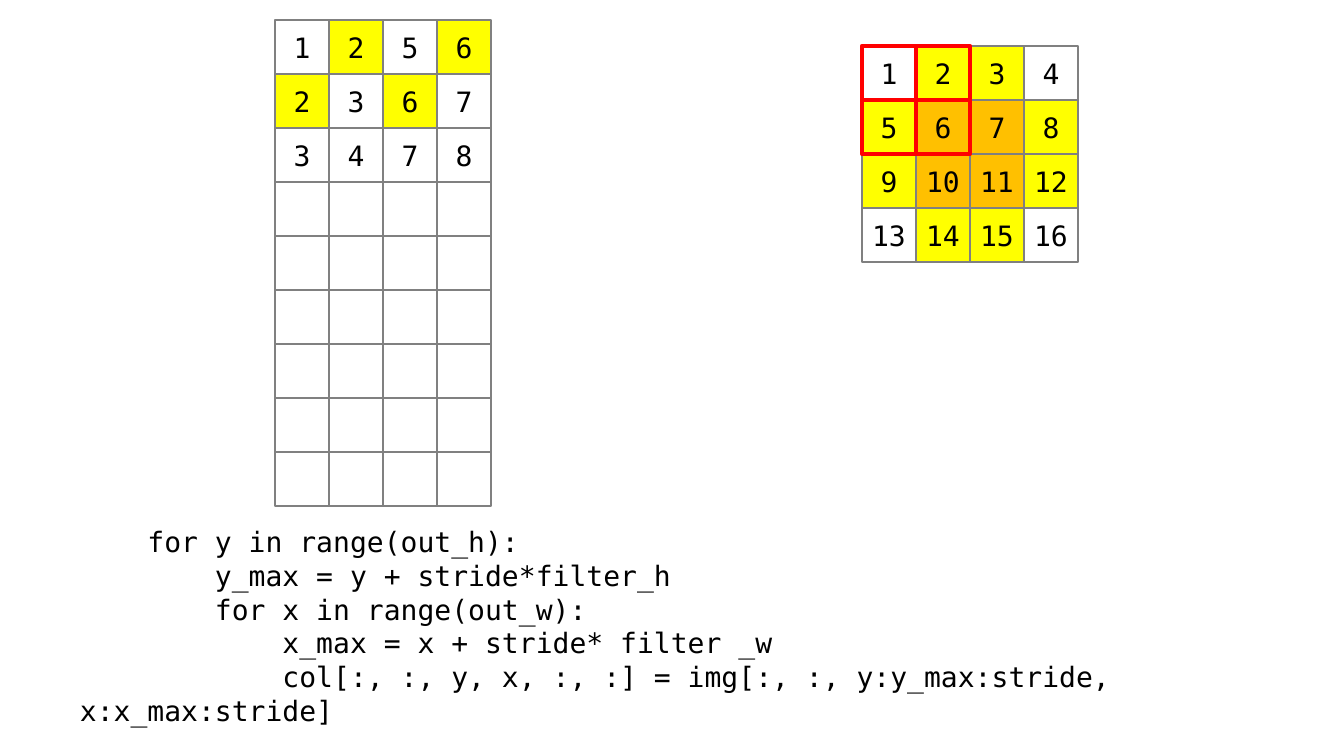
"""Build a slide showing how im2col copies image cells into column rows."""
from pptx import Presentation
from pptx.dml.color import RGBColor
from pptx.enum.shapes import MSO_SHAPE
from pptx.enum.text import MSO_ANCHOR, MSO_AUTO_SIZE, PP_ALIGN
from pptx.util import Emu, Pt

RECTANGLE = MSO_SHAPE.RECTANGLE
MIDDLE = MSO_ANCHOR.MIDDLE
CENTER = PP_ALIGN.CENTER
GROW = MSO_AUTO_SIZE.SHAPE_TO_FIT_TEXT

THEME = {
    "font": {"name": "DejaVu Sans Mono", "size": Pt(20)},
    "text": RGBColor.from_string("000000"),
    "grid": RGBColor.from_string("808080"),
    "window": RGBColor.from_string("FF0000"),
    "grid_width": Pt(1.5),
    "window_width": Pt(3),
    "fills": {
        "W": RGBColor.from_string("FFFFFF"),
        "Y": RGBColor.from_string("FFFF00"),
        "O": RGBColor.from_string("FFC000"),
    },
}
CELL = 54
COLUMNS = 4
WINDOW = 2
IMAGE_LEFT, IMAGE_TOP = 862, 46

GRIDS = [
    {
        "left": IMAGE_LEFT,
        "top": IMAGE_TOP,
        "values": list(range(1, 17)),
        "fills": ["WYYW", "YOOY", "YOOY", "WYYW"],
    },
    {
        "left": 275,
        "top": 20,
        "values": [1, 2, 5, 6, 2, 3, 6, 7, 3, 4, 7, 8] + [""] * 24,
        "fills": ["WYWY", "YWYW"] + ["WWWW"] * 7,
    },
]

CODE = """\
    for y in range(out_h):
        y_max = y + stride*filter_h
        for x in range(out_w):
            x_max = x + stride* filter _w
            col[:, :, y, x, :, :] = img[:, :, y:y_max:stride, x:x_max:stride]"""


def px(length):
    """Turn pixels into EMU at 100.8 pixels to the inch."""
    return Emu(round(length * 914400 / 100.8))


def add_cell(shapes, left, top, color, width):
    """Add one outlined square cell."""
    shape = shapes.add_shape(RECTANGLE, px(left), px(top), px(CELL), px(CELL))
    shape.shadow.inherit = False
    shape.line.color.rgb = color
    shape.line.width = width
    return shape


presentation = Presentation()
presentation.slide_width = px(1344)
presentation.slide_height = px(756)
slide = presentation.slides.add_slide(presentation.slide_layouts[6])

code_box = slide.shapes.add_textbox(px(70), px(520), px(1218), px(179))
code_frame = code_box.text_frame
code_frame.word_wrap = True
code_frame.auto_size = GROW
code_frame.text = CODE
for paragraph in code_frame.paragraphs:
    for name, value in THEME["font"].items():
        setattr(paragraph.font, name, value)
    paragraph.font.color.rgb = THEME["text"]

cell_format = {
    "margin_left": px(4),
    "margin_right": px(4),
    "margin_top": px(5),
    "margin_bottom": px(5),
    "vertical_anchor": MIDDLE,
}
for grid in GRIDS:
    for index, number in enumerate(grid["values"]):
        row, column = divmod(index, COLUMNS)
        cell = add_cell(
            slide.shapes,
            grid["left"] + column * CELL,
            grid["top"] + row * CELL,
            THEME["grid"],
            THEME["grid_width"],
        )
        cell.fill.solid()
        cell.fill.fore_color.rgb = THEME["fills"][grid["fills"][row][column]]
        for name, value in cell_format.items():
            setattr(cell.text_frame, name, value)
        paragraph = cell.text_frame.paragraphs[0]
        paragraph.text = str(number)
        paragraph.alignment = CENTER
        for name, value in THEME["font"].items():
            setattr(paragraph.font, name, value)
        paragraph.font.color.rgb = THEME["text"]
    if grid["left"] == IMAGE_LEFT:
        window = slide.shapes.add_group_shape()
        for index in range(WINDOW * WINDOW):
            row, column = divmod(index, WINDOW)
            outline = add_cell(
                window.shapes,
                IMAGE_LEFT + column * CELL,
                IMAGE_TOP + row * CELL,
                THEME["window"],
                THEME["window_width"],
            )
            outline.fill.background()

presentation.save("out.pptx")
